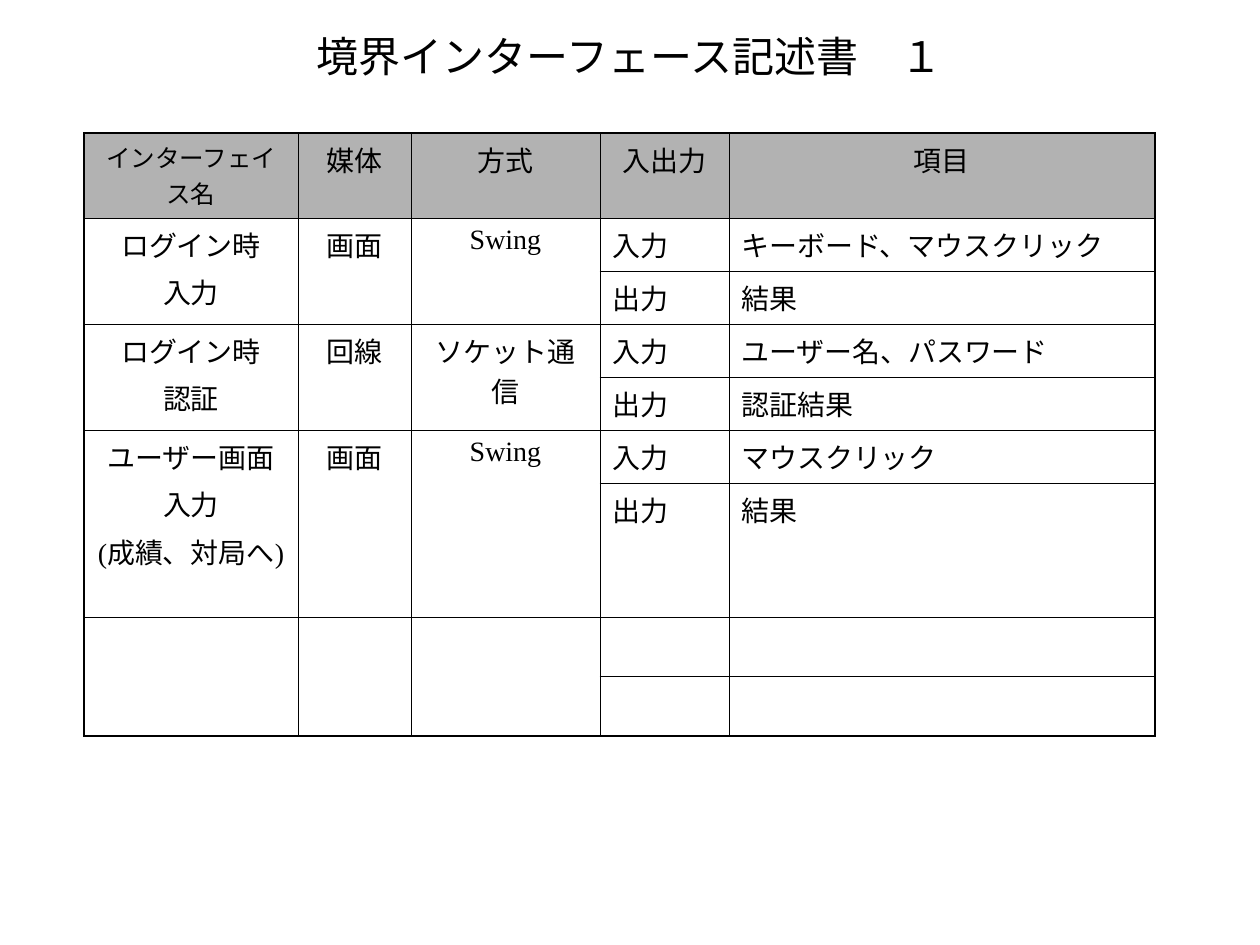
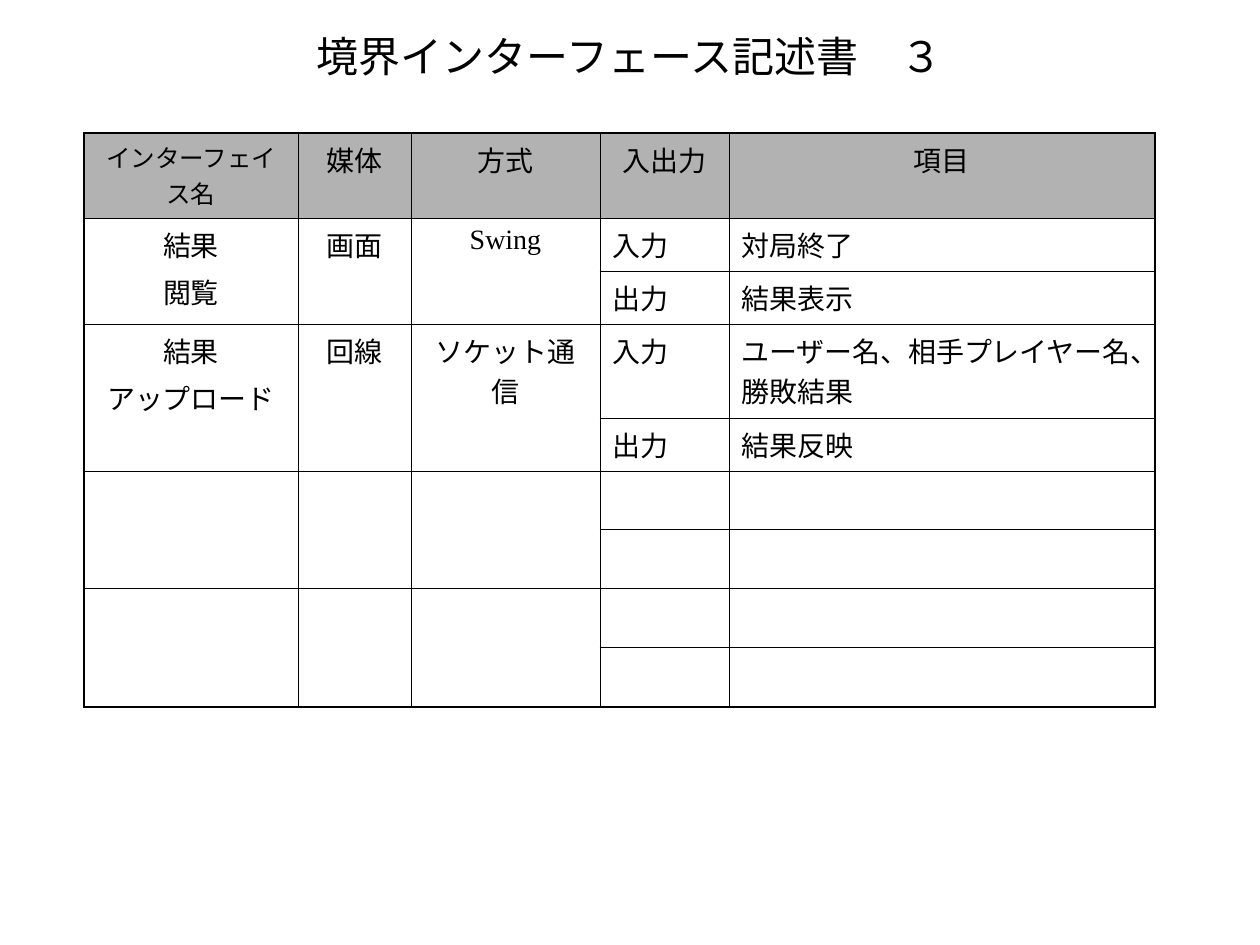
import pptx
import pptx.dml.color
import pptx.enum.lang
import pptx.enum.text
import pptx.oxml
import pptx.oxml.ns
import pptx.util

PX_PER_INCH = 126
FONT = "Times New Roman"
BLACK, HEADER_GREY = "000000", "B2B2B2"
THIN, THICK = 0.45, 1.08  # border widths in points

TITLE_BOX = (94, 26, 1071, 60)
TABLE_LEFT, TABLE_TOP = 84, 133
COLUMN_WIDTHS = [214, 113, 189, 129, 426]
HEADINGS = ["インターフェイス名", "媒体", "方式", "入出力", "項目"]
HEADER_HEIGHT, ROW_HEIGHT, EMPTY_HEIGHT = 85, 53, 59

CENTER = pptx.enum.text.PP_ALIGN.CENTER
LEFT = pptx.enum.text.PP_ALIGN.LEFT

# Each interface: name lines, medium, method, input, output, two row heights
EMPTY = ([], "", "", "", "", (EMPTY_HEIGHT, EMPTY_HEIGHT))
PAIR = (ROW_HEIGHT, ROW_HEIGHT)
SLIDES = [
    ("境界インターフェース記述書　１", [
        (["ログイン時", "入力"], "画面", "Swing",
         "キーボード、マウスクリック", "結果", PAIR),
        (["ログイン時", "認証"], "回線", "ソケット通信",
         "ユーザー名、パスワード", "認証結果", PAIR),
        (["ユーザー画面", "入力", "(成績、対局へ)"], "画面", "Swing",
         "マウスクリック", "結果", (ROW_HEIGHT, 135)),
        EMPTY,
    ]),
    ("境界インターフェース記述書　３", [
        (["結果", "閲覧"], "画面", "Swing", "対局終了", "結果表示", PAIR),
        (["結果", "アップロード"], "回線", "ソケット通信",
         "ユーザー名、相手プレイヤー名、勝敗結果", "結果反映", (94, ROW_HEIGHT)),
        EMPTY,
        EMPTY,
    ]),
]


def px(length):
    return pptx.util.Emu(round(length * 914400 / PX_PER_INCH))


def color(value):
    return pptx.dml.color.RGBColor.from_string(value)


def add_run(paragraph, text, size):
    run = paragraph.add_run()
    run.text = text
    run.font.size = pptx.util.Pt(size)
    run.font.name = FONT
    run.font.color.rgb = color(BLACK)
    run.font.language_id = pptx.enum.lang.MSO_LANGUAGE_ID.JAPANESE


def add_title(slide, text):
    shape = slide.shapes.add_textbox(*map(px, TITLE_BOX))
    frame = shape.text_frame
    frame.word_wrap = True
    frame.vertical_anchor = pptx.enum.text.MSO_ANCHOR.MIDDLE
    frame.paragraphs[0].alignment = CENTER
    add_run(frame.paragraphs[0], text, 24)


def write_cell(cell, lines, alignment=CENTER, size=16):
    frame = cell.text_frame
    for index, line in enumerate(lines):
        paragraph = frame.add_paragraph() if index else frame.paragraphs[0]
        paragraph.alignment = alignment
        paragraph.space_before = pptx.util.Pt(size / 4)
        add_run(paragraph, line, size)


def set_borders(cell, widths):
    """Draw the given sides; line elements go before the cell's fill."""
    properties = cell._tc.get_or_add_tcPr()
    for index, (side, width) in enumerate(widths.items()):
        line = pptx.oxml.parse_xml(
            f'<a:ln{side} {pptx.oxml.ns.nsdecls("a")} w="{pptx.util.Pt(width)}">'
            f'<a:solidFill><a:srgbClr val="{BLACK}"/></a:solidFill></a:ln{side}>')
        properties.insert(index, line)


def style_table(table):
    last_row, last_column = len(table.rows) - 1, len(table.columns) - 1
    for row in range(last_row + 1):
        for column in range(last_column + 1):
            cell = table.cell(row, column)
            if row == 0:
                cell.fill.solid()
                cell.fill.fore_color.rgb = color(HEADER_GREY)
            else:
                cell.fill.background()
            bottom = row + cell.span_height - 1 if cell.is_merge_origin else row
            widths = {
                "L": THICK if column == 0 else THIN,
                "R": THICK if column == last_column else THIN,
                "T": THICK if row == 0 else THIN,
                "B": THICK if bottom == last_row else THIN,
            }
            if cell.is_spanned:
                del widths["T"]
            set_borders(cell, widths)


def add_interface_table(slide, interfaces):
    heights = [HEADER_HEIGHT]
    for interface in interfaces:
        heights.extend(interface[-1])
    frame = slide.shapes.add_table(
        len(heights), len(COLUMN_WIDTHS), px(TABLE_LEFT), px(TABLE_TOP),
        px(sum(COLUMN_WIDTHS)), px(sum(heights)))
    table = frame.table
    table.first_row = table.horz_banding = False
    for column, width in zip(table.columns, COLUMN_WIDTHS):
        column.width = px(width)
    for row, height in zip(table.rows, heights):
        row.height = px(height)

    # Header row
    for column, heading in enumerate(HEADINGS):
        write_cell(table.cell(0, column), [heading], size=16 if column else 14)

    # Two rows per interface, with the first three columns merged
    for index, interface in enumerate(interfaces):
        name, medium, method, received, returned, _ = interface
        top = 1 + 2 * index
        for column in range(3):
            table.cell(top, column).merge(table.cell(top + 1, column))
        if not name:
            continue
        for column, lines in enumerate([name, [medium], [method]]):
            write_cell(table.cell(top, column), lines)
        for offset, pair in enumerate([("入力", received), ("出力", returned)]):
            for column, text in enumerate(pair, start=3):
                write_cell(table.cell(top + offset, column), [text], LEFT)
    style_table(table)


def main():
    presentation = pptx.Presentation()
    presentation.slide_width = px(1260)
    presentation.slide_height = px(945)
    for title, interfaces in SLIDES:
        slide = presentation.slides.add_slide(presentation.slide_layouts[6])
        add_title(slide, title)
        add_interface_table(slide, interfaces)
    presentation.save("out.pptx")


if __name__ == "__main__":
    main()
